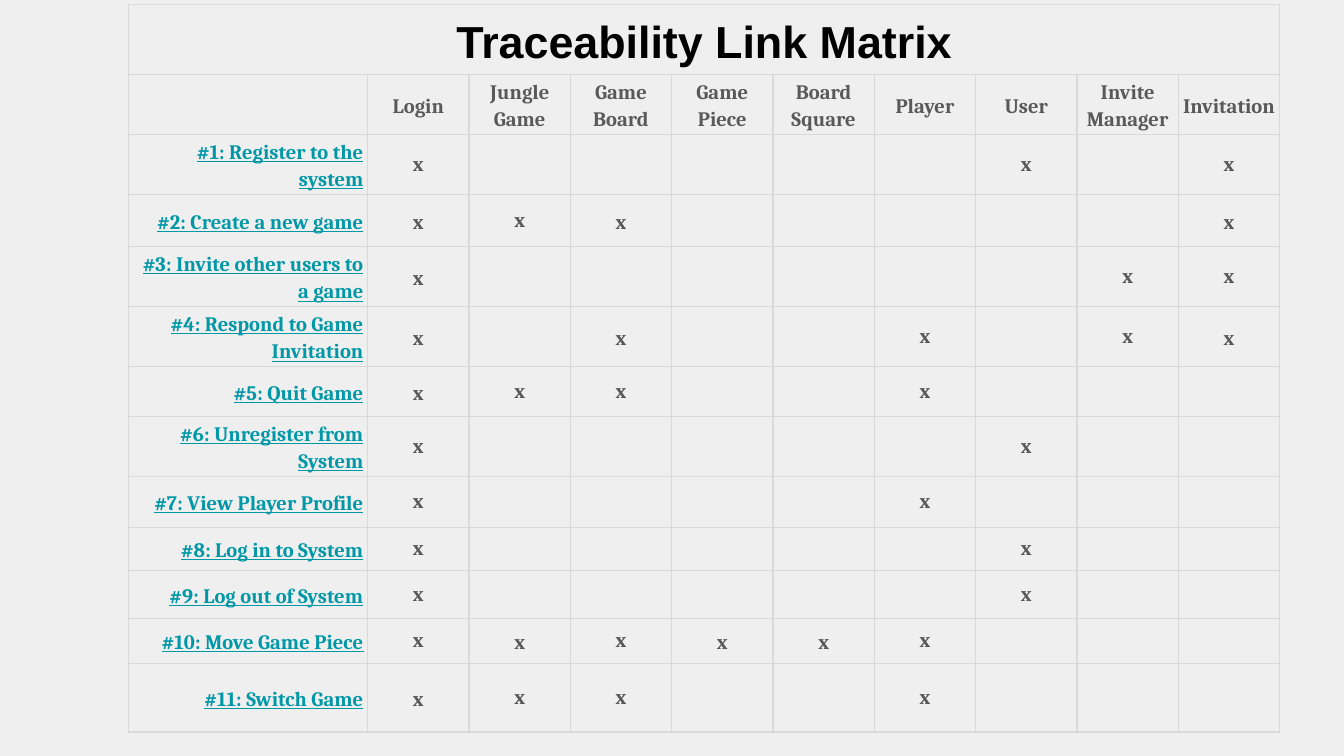
from dataclasses import dataclass

from lxml.etree import SubElement
from pptx import Presentation
from pptx.dml.color import RGBColor
from pptx.enum.text import MSO_ANCHOR, PP_ALIGN
from pptx.oxml.ns import qn
from pptx.util import Cm, Pt


@dataclass(frozen=True)
class Theme:
    back: str = "EFEFEF"
    rule: str = "D9D9D9"
    title: str = "000000"
    text: str = "595959"
    link: str = "0097A7"
    head: str = "Arial"
    body: str = "Cambria"
    big: int = 24
    small: int = 11
    line: float = 0.75
    lead: float = 1.15


THEME = Theme()
TITLE = "Traceability Link Matrix"
PARTS = ["Login", "Jungle Game", "Game Board", "Game Piece", "Board Square",
         "Player", "User", "Invite Manager", "Invitation"]
# One sign per part: x is a single-spaced mark, X a looser one, a dot none.
CASES = [
    ("#1: Register to the system", "x.....x.x", 0.91),
    ("#2: Create a new game", "XxX.....X", 0.99),
    ("#3: Invite other users to a game", "X......xx", 0.99),
    ("#4: Respond to Game Invitation", "X.X..x.xX", 0.89),
    ("#5: Quit Game", "Xxx..x...", 0.94),
    ("#6: Unregister from System", "x.....x..", 0.91),
    ("#7: View Player Profile", "x....x...", 0.97),
    ("#8: Log in to System", "x.....x..", 0.81),
    ("#9: Log out of System", "x.....x..", 0.91),
    ("#10: Move Game Piece", "xXxXXx...", 0.84),
    ("#11: Switch Game", "Xxx..x...", 1.3),
]


def style(cell):
    """Give a cell its margins, four thin borders and no fill."""
    cell.margin_left = cell.margin_right = Cm(0.08)
    cell.margin_top = cell.margin_bottom = Cm(0.05)
    cell.vertical_anchor = MSO_ANCHOR.MIDDLE
    props = cell._tc.get_or_add_tcPr()
    for side in ("lnL", "lnR", "lnT", "lnB"):
        line = SubElement(props, qn(f"a:{side}"), w=str(Pt(THEME.line)))
        fill = SubElement(line, qn("a:solidFill"))
        SubElement(fill, qn("a:srgbClr"), val=THEME.rule)
    cell.fill.background()
    # An empty cell keeps the small type size, so its row stays low.
    para = cell.text_frame.paragraphs[0]
    SubElement(para._p, qn("a:endParaRPr"), sz=str(THEME.small * 100))


def write(cell, text, color=THEME.text, size=THEME.small, face=THEME.body,
          align=PP_ALIGN.CENTER, lead=THEME.lead, under=False):
    para = cell.text_frame.paragraphs[0]
    para.text = text
    para.alignment = align
    if lead:
        para.line_spacing = lead
    font = para.runs[0].font
    font.name, font.size, font.bold = face, Pt(size), True
    font.color.rgb = RGBColor.from_string(color)
    if under:
        font.underline = True


def matrix(slide, left, top, width):
    tall = [1.32, 0.84] + [case[2] for case in CASES]
    table = slide.shapes.add_table(
        len(tall), len(PARTS) + 1, left, top, width, Cm(sum(tall))).table
    table.first_row = table.horz_banding = False

    first = Cm(4.52)
    for index, col in enumerate(table.columns):
        col.width = (width - first) // len(PARTS) if index else first
    for row, size in zip(table.rows, tall):
        row.height = Cm(size)
    for cell in table.iter_cells():
        style(cell)

    table.cell(0, 0).merge(table.cell(0, len(PARTS)))
    write(table.cell(0, 0), TITLE, THEME.title, THEME.big, THEME.head)
    for col, part in enumerate(PARTS, 1):
        write(table.cell(1, col), part)
    for row, (name, marks, _) in enumerate(CASES, 2):
        write(table.cell(row, 0), name, THEME.link,
              align=PP_ALIGN.RIGHT, under=True)
        for col, mark in enumerate(marks, 1):
            if mark != ".":
                write(table.cell(row, col), "x",
                      lead=THEME.lead if mark == "X" else None)


def main():
    deck = Presentation()
    deck.slide_width, deck.slide_height = Cm(25.4), Cm(14.29)
    slide = deck.slides.add_slide(deck.slide_layouts[6])
    fill = slide.background.fill
    fill.solid()
    fill.fore_color.rgb = RGBColor.from_string(THEME.back)
    matrix(slide, Cm(2.43), Cm(0.09), Cm(21.76))
    deck.save("out.pptx")


if __name__ == "__main__":
    main()
